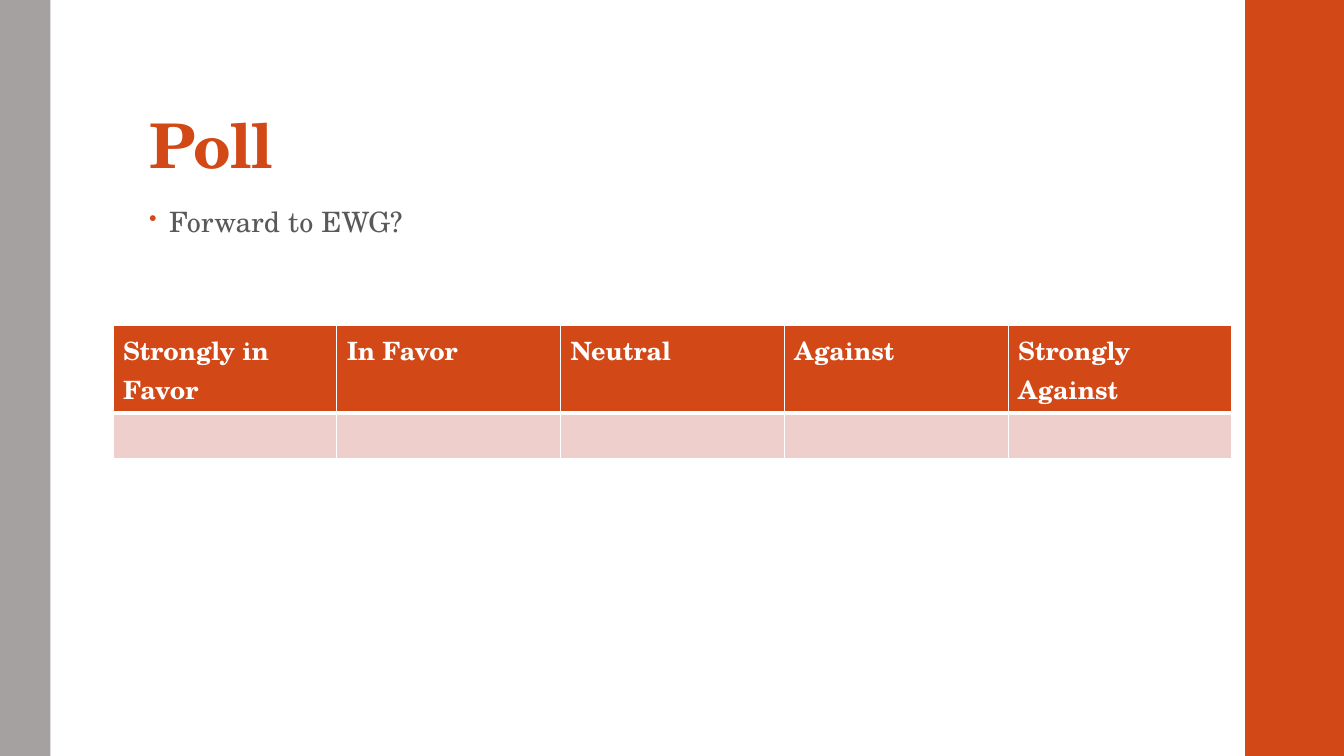
from lxml import etree
from pptx import Presentation
from pptx.dml.color import RGBColor
from pptx.enum import shapes, text
from pptx.oxml import ns
from pptx.util import Inches, Pt

TITLE = "Poll"
QUESTION = "Forward to EWG?"
CHOICES = ["Strongly in Favor", "In Favor", "Neutral", "Against", "Strongly Against"]

FONT = "TeX Gyre Schola"
ORANGE = RGBColor(0xD3, 0x48, 0x17)
GRAY = RGBColor(0xA6, 0xA1, 0xA1)
PINK = RGBColor(0xEF, 0xCF, 0xCC)
DARK = RGBColor(0x59, 0x59, 0x59)
WHITE = RGBColor(0xFF, 0xFF, 0xFF)

WIDTH, HEIGHT = 13.33, 7.5
BANDS = [(12.35, WIDTH - 12.35, ORANGE), (0, 0.5, GRAY)]
TABLE_LEFT, TABLE_TOP, COLUMN_WIDTH = 1.12, 3.23, 2.22
ROW_HEIGHTS = [0.87, 0.45]


def add_span(para, words, size, color, bold=False, spacing=0):
    """Add one formatted run, with letter spacing in points."""
    span = para.add_run()
    span.text = words
    span.font.name = FONT
    span.font.size = Pt(size)
    span.font.bold = bold
    span.font.color.rgb = color
    if spacing:
        span._r.get_or_add_rPr().set("spc", str(round(spacing * 100)))


def add_bullet(para):
    """Give a paragraph a hanging orange bullet."""
    props = para._p.get_or_add_pPr()
    props.set("marL", str(Inches(0.2)))
    props.set("indent", str(Inches(-0.2)))
    color = etree.SubElement(props, ns.qn("a:buClr"))
    etree.SubElement(color, ns.qn("a:srgbClr"), val=str(ORANGE))
    etree.SubElement(props, ns.qn("a:buSzPct"), val="80000")
    etree.SubElement(props, ns.qn("a:buChar"), char="•")


def style_cell(cell, fill, widths):
    """Fill a cell and draw its white borders before the fill element."""
    props = cell._tc.get_or_add_tcPr()
    for side, width in widths.items():
        line = etree.SubElement(props, ns.qn("a:ln" + side), w=str(Pt(width)))
        solid = etree.SubElement(line, ns.qn("a:solidFill"))
        etree.SubElement(solid, ns.qn("a:srgbClr"), val=str(WHITE))
    cell.fill.solid()
    cell.fill.fore_color.rgb = fill


def add_bands(page):
    """Draw the full-height side bands."""
    for left, width, color in BANDS:
        band = page.shapes.add_shape(shapes.MSO_SHAPE.RECTANGLE, Inches(left), 0, Inches(width), Inches(HEIGHT))
        band.shadow.inherit = False
        band.fill.solid()
        band.fill.fore_color.rgb = color
        band.line.fill.background()


def add_title(page):
    """Place and format the title."""
    title = page.shapes.title
    title.left, title.top, title.width, title.height = map(Inches, (1.38, 0.32, 10.6, 1.53))
    frame = title.text_frame
    frame.auto_size = text.MSO_AUTO_SIZE.NONE
    frame.vertical_anchor = text.MSO_ANCHOR.BOTTOM
    frame.margin_top, frame.margin_bottom = Inches(0.03), Inches(0.05)
    para = frame.paragraphs[0]
    para.alignment = text.PP_ALIGN.LEFT
    para.line_spacing = 0.9
    add_span(para, TITLE, 44, ORANGE, bold=True, spacing=-0.5)


def add_question(page):
    """Add the bulleted question."""
    box = page.shapes.add_textbox(*map(Inches, (1.38, 2, 9.4, 4.76)))
    box.text_frame.word_wrap = True
    para = box.text_frame.paragraphs[0]
    para.line_spacing = 0.95
    para.space_before, para.space_after = Pt(14), Pt(2)
    add_bullet(para)
    add_span(para, QUESTION, 20, DARK, spacing=0.1)


def add_poll(page):
    """Add the poll table with one empty answer row."""
    frame = page.shapes.add_table(
        len(ROW_HEIGHTS), len(CHOICES), Inches(TABLE_LEFT), Inches(TABLE_TOP),
        Inches(COLUMN_WIDTH * len(CHOICES)), Inches(sum(ROW_HEIGHTS)))
    table = frame.table
    for row, height in zip(table.rows, ROW_HEIGHTS):
        row.height = Inches(height)
    for index, choice in enumerate(CHOICES):
        table.columns[index].width = Inches(COLUMN_WIDTH)
        header, answer = table.cell(0, index), table.cell(1, index)
        style_cell(header, ORANGE, {"L": 1, "R": 1, "T": 1, "B": 3})
        style_cell(answer, PINK, {"L": 1, "R": 1, "T": 3, "B": 1})
        add_span(header.text_frame.paragraphs[0], choice, 18, WHITE, bold=True)


def main():
    """Build the poll slide."""
    deck = Presentation()
    deck.slide_width, deck.slide_height = Inches(WIDTH), Inches(HEIGHT)
    page = deck.slides.add_slide(deck.slide_layouts[5])
    add_bands(page)
    add_title(page)
    add_question(page)
    add_poll(page)
    deck.save("out.pptx")


if __name__ == "__main__":
    main()
